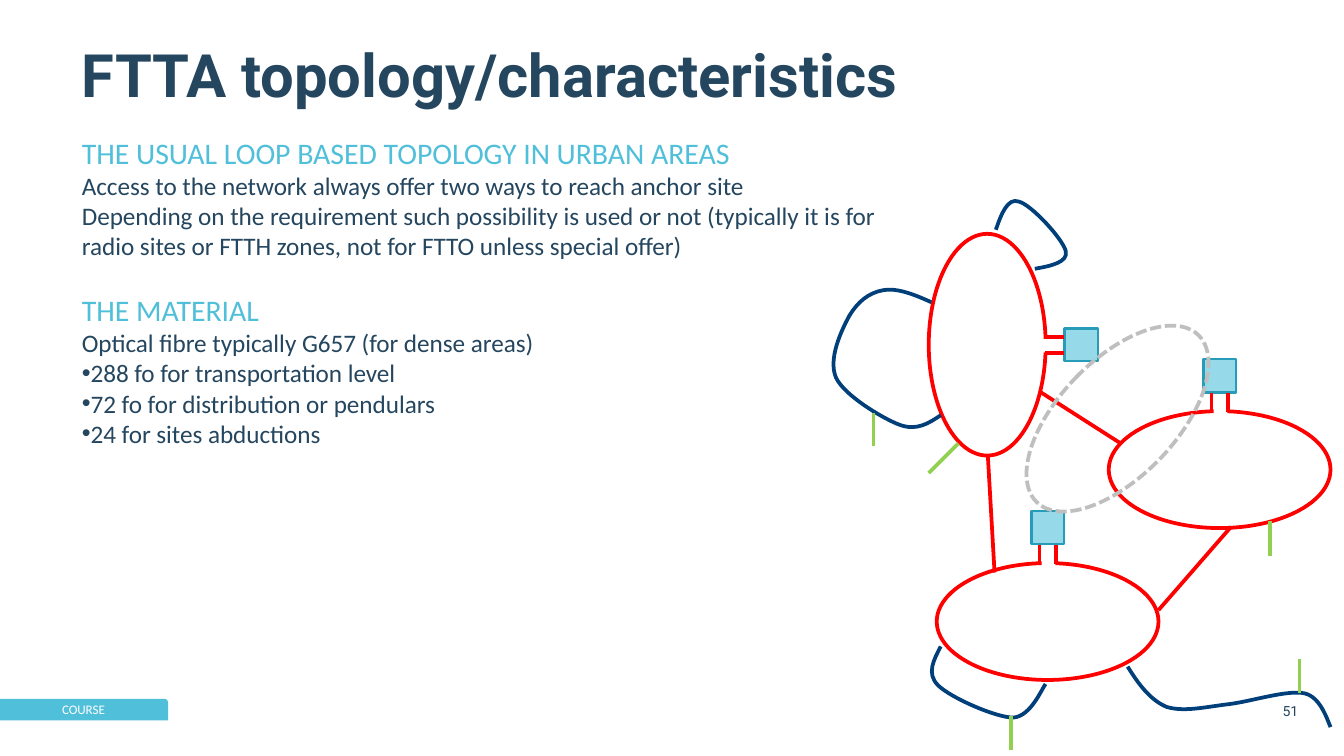
from dataclasses import dataclass

from lxml.etree import SubElement
from pptx import Presentation
from pptx.dml.color import RGBColor
from pptx.enum.dml import MSO_LINE
from pptx.enum.shapes import MSO_CONNECTOR, MSO_SHAPE
from pptx.enum.text import MSO_ANCHOR, PP_ALIGN
from pptx.oxml.ns import qn
from pptx.util import Inches, Pt

Point = tuple[float, float]


@dataclass(frozen=True)
class Theme:
    navy: str = "25465F"
    cyan: str = "50BFDA"
    white: str = "FFFFFF"
    ring: str = "FF0000"
    site_fill: str = "96D9E9"
    site_edge: str = "279CB8"
    planned: str = "BFBFBF"
    pendular: str = "003F79"
    drop: str = "92D050"
    body_font: str = "Calibri"
    title_font: str = "Roboto"
    bullet_font: str = "Arial"
    title_size: float = 32
    heading_size: float = 16
    body_size: float = 13.5
    number_size: float = 7.5
    tag_size: float = 7
    cable_width: float = 2
    site_width: float = 1.25


@dataclass(frozen=True)
class BodyLine:
    text: str
    heading: bool = False
    bullet: bool = False
    space_before: float = 0


@dataclass(frozen=True)
class Loop:
    left: float
    top: float
    rotation: int = 0


@dataclass(frozen=True)
class Cable:
    start: Point
    end: Point
    color: str


THEME = Theme()
LOOP_WIDTH, LOOP_HEIGHT = 1.65, 0.87
SITE_WIDTH, SITE_HEIGHT = 0.24, 0.25

BODY = [
    BodyLine("THE USUAL LOOP BASED TOPOLOGY IN URBAN AREAS", heading=True),
    BodyLine("Access to the network always offer two ways to reach anchor site"),
    BodyLine("Depending on the requirement such possibility is used or not (typically it is for "
             "radio sites or FTTH zones, not for FTTO unless special offer)"),
    BodyLine("THE MATERIAL", heading=True, space_before=16.5),
    BodyLine("Optical fibre typically G657 (for dense areas)"),
    BodyLine("288 fo for transportation level", bullet=True),
    BodyLine("72 fo for distribution or pendulars", bullet=True),
    BodyLine("24 for sites abductions", bullet=True),
]
LOOPS = [Loop(6.97, 4.19), Loop(8.25, 3.06), Loop(6.52, 2.13, 90)]
LINKS = [
    Cable((7.4, 4.26), (7.35, 3.39), THEME.ring),
    Cable((8.34, 3.3), (7.73, 2.91), THEME.ring),
    Cable((8.62, 4.54), (9.16, 3.92), THEME.ring),
]
DROPS = [
    Cable((7.13, 3.3), (6.91, 3.52), THEME.drop),
    Cable((6.5, 3.07), (6.5, 3.32), THEME.drop),
    Cable((7.52, 5.33), (7.52, 5.58), THEME.drop),
    Cable((9.67, 4.9), (9.67, 5.16), THEME.drop),
    Cable((9.45, 3.88), (9.45, 4.14), THEME.drop),
]
PENDULARS = [
    [(7.41, 1.71), (7.45, 1.59), (7.5, 1.47), (7.58, 1.5), (7.67, 1.52), (7.91, 1.78),
     (7.93, 1.87), (7.95, 1.95), (7.82, 1.98), (7.7, 2)],
    [(6.93, 2.25), (6.8, 2.19), (6.67, 2.14), (6.57, 2.16), (6.46, 2.18), (6.38, 2.25),
     (6.32, 2.35), (6.26, 2.46), (6.16, 2.67), (6.22, 2.81), (6.28, 2.94), (6.56, 3.11),
     (6.69, 3.16), (6.82, 3.21), (6.91, 3.15), (7, 3.09)],
    [(7, 4.81), (6.95, 4.91), (6.89, 5.01), (6.98, 5.1), (7.07, 5.19), (7.41, 5.34),
     (7.54, 5.34), (7.67, 5.33), (7.75, 5.13), (7.78, 5.09)],
    [(8.39, 4.96), (8.47, 5.09), (8.56, 5.21), (8.68, 5.26), (8.81, 5.3), (8.97, 5.26),
     (9.14, 5.24), (9.31, 5.22), (9.58, 5.13), (9.71, 5.16), (9.83, 5.19), (9.88, 5.37),
     (9.9, 5.41)],
]


def style_shape(shape, fill: str | None = None, line: str | None = None,
                width: float = THEME.cable_width) -> None:
    shape.shadow.inherit = False
    if fill:
        shape.fill.solid()
        shape.fill.fore_color.rgb = RGBColor.from_string(fill)
    else:
        shape.fill.background()
    if line:
        shape.line.color.rgb = RGBColor.from_string(line)
        shape.line.width = Pt(width)
    else:
        shape.line.fill.background()


def add_shape(slide, kind: MSO_SHAPE, left: float, top: float, width: float, height: float):
    return slide.shapes.add_shape(kind, Inches(left), Inches(top), Inches(width), Inches(height))


def clear_margins(text_frame) -> None:
    text_frame.word_wrap = True
    text_frame.margin_left = text_frame.margin_right = 0
    text_frame.margin_top = text_frame.margin_bottom = 0


def add_text_frame(slide, left: float, top: float, width: float, height: float):
    box = slide.shapes.add_textbox(Inches(left), Inches(top), Inches(width), Inches(height))
    clear_margins(box.text_frame)
    return box.text_frame


def format_runs(paragraph, font: str, size: float, color: str, bold: bool = False) -> None:
    for run in paragraph.runs:
        run.font.name = font
        run.font.size = Pt(size)
        run.font.bold = bold
        run.font.color.rgb = RGBColor.from_string(color)


def add_tag(slide) -> None:
    tag = add_shape(slide, MSO_SHAPE.ROUND_1_RECTANGLE, 0, 5.2, 1.25, 0.16)
    style_shape(tag, fill=THEME.cyan)
    clear_margins(tag.text_frame)
    tag.text_frame.vertical_anchor = MSO_ANCHOR.MIDDLE
    tag.text_frame.text = "COURSE"
    paragraph = tag.text_frame.paragraphs[0]
    paragraph.alignment = PP_ALIGN.CENTER
    format_runs(paragraph, THEME.body_font, THEME.tag_size, THEME.white)


def add_title(slide) -> None:
    text_frame = add_text_frame(slide, 0.61, 0.37, 9.06, 0.49)
    text_frame.text = "FTTA topology/characteristics"
    paragraph = text_frame.paragraphs[0]
    paragraph.line_spacing = 0.83
    format_runs(paragraph, THEME.title_font, THEME.title_size, THEME.navy, bold=True)


def add_body(slide, lines: list[BodyLine]) -> None:
    text_frame = add_text_frame(slide, 0.61, 1, 6.04, 4.06)
    for index, line in enumerate(lines):
        paragraph = text_frame.add_paragraph() if index else text_frame.paragraphs[0]
        paragraph.text = line.text
        if line.space_before:
            paragraph.space_before = Pt(line.space_before)
        if line.bullet:
            properties = paragraph._p.get_or_add_pPr()
            properties.set("marL", "0")
            properties.set("indent", str(Inches(-0.14)))
            SubElement(properties, qn("a:buFont")).set("typeface", THEME.bullet_font)
            SubElement(properties, qn("a:buChar")).set("char", "•")
        size = THEME.heading_size if line.heading else THEME.body_size
        format_runs(paragraph, THEME.body_font, size, THEME.cyan if line.heading else THEME.navy)


def add_page_number(slide) -> None:
    text_frame = add_text_frame(slide, 9.07, 5.19, 0.59, 0.2)
    text_frame.vertical_anchor = MSO_ANCHOR.MIDDLE
    text_frame.text = "51"
    paragraph = text_frame.paragraphs[0]
    paragraph.alignment = PP_ALIGN.RIGHT
    format_runs(paragraph, THEME.title_font, THEME.number_size, THEME.navy)


def add_cable(slide, cable: Cable) -> None:
    ends = [Inches(value) for value in (*cable.start, *cable.end)]
    connector = slide.shapes.add_connector(MSO_CONNECTOR.STRAIGHT, *ends)
    connector.line.color.rgb = RGBColor.from_string(cable.color)
    connector.line.width = Pt(THEME.cable_width)
    SubElement(connector._element.spPr, qn("a:effectLst"))


def add_loop(slide, loop: Loop) -> None:
    center_x, center_y = loop.left + LOOP_WIDTH / 2, loop.top + LOOP_HEIGHT / 2

    def place(x: float, y: float) -> Point:
        return (center_x - y, center_y + x) if loop.rotation else (center_x + x, center_y + y)

    arc = add_shape(slide, MSO_SHAPE.ARC, loop.left, loop.top, LOOP_WIDTH, LOOP_HEIGHT)
    arc.adjustments[0], arc.adjustments[1] = 166.56, 158.48
    arc.rotation = loop.rotation
    style_shape(arc, line=THEME.ring)
    site_x, site_y = place(0, -0.7)
    site = add_shape(slide, MSO_SHAPE.RECTANGLE, site_x - SITE_WIDTH / 2,
                     site_y - SITE_HEIGHT / 2, SITE_WIDTH, SITE_HEIGHT)
    site.rotation = loop.rotation
    style_shape(site, THEME.site_fill, THEME.site_edge, THEME.site_width)
    for x in (-0.06, 0.06):
        add_cable(slide, Cable(place(x, -0.57), place(x, -0.43), THEME.ring))


def add_curve(slide, points: list[Point]) -> None:
    emu = [(Inches(x), Inches(y)) for x, y in points]
    builder = slide.shapes.build_freeform(*emu[0])
    builder.add_line_segments(emu[3::3], close=False)
    shape = builder.convert_to_shape()
    style_shape(shape, line=THEME.pendular)
    for index, segment in enumerate(list(shape._element.iter(qn("a:lnTo")))):
        segment.tag = qn("a:cubicBezTo")
        segment.clear()
        for x, y in emu[3 * index + 1:3 * index + 4]:
            SubElement(segment, qn("a:pt"), x=str(x - shape.left), y=str(y - shape.top))


def main() -> None:
    presentation = Presentation()
    presentation.slide_width = Inches(10)
    presentation.slide_height = Inches(10) * 9 // 16
    slide = presentation.slides.add_slide(presentation.slide_layouts[6])
    add_tag(slide)
    add_body(slide, BODY)
    add_title(slide)
    add_page_number(slide)
    for loop in LOOPS:
        add_loop(slide, loop)
    for link in LINKS:
        add_cable(slide, link)
    planned = add_shape(slide, MSO_SHAPE.OVAL, 7.88, 2.25, 0.87, 1.73)
    planned.rotation = 44
    style_shape(planned, line=THEME.planned)
    planned.line.dash_style = MSO_LINE.SQUARE_DOT
    for points in PENDULARS:
        add_curve(slide, points)
    for drop in DROPS:
        add_cable(slide, drop)
    presentation.save("out.pptx")


if __name__ == "__main__":
    main()
